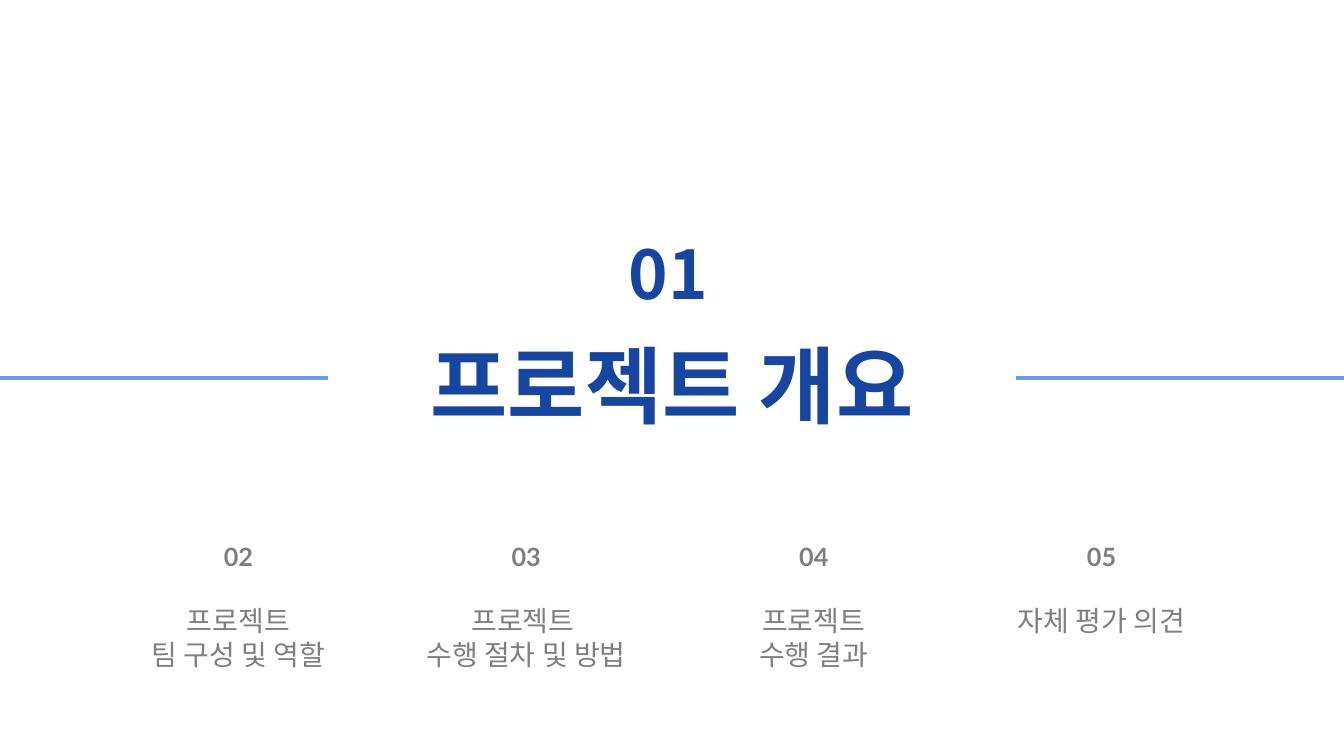
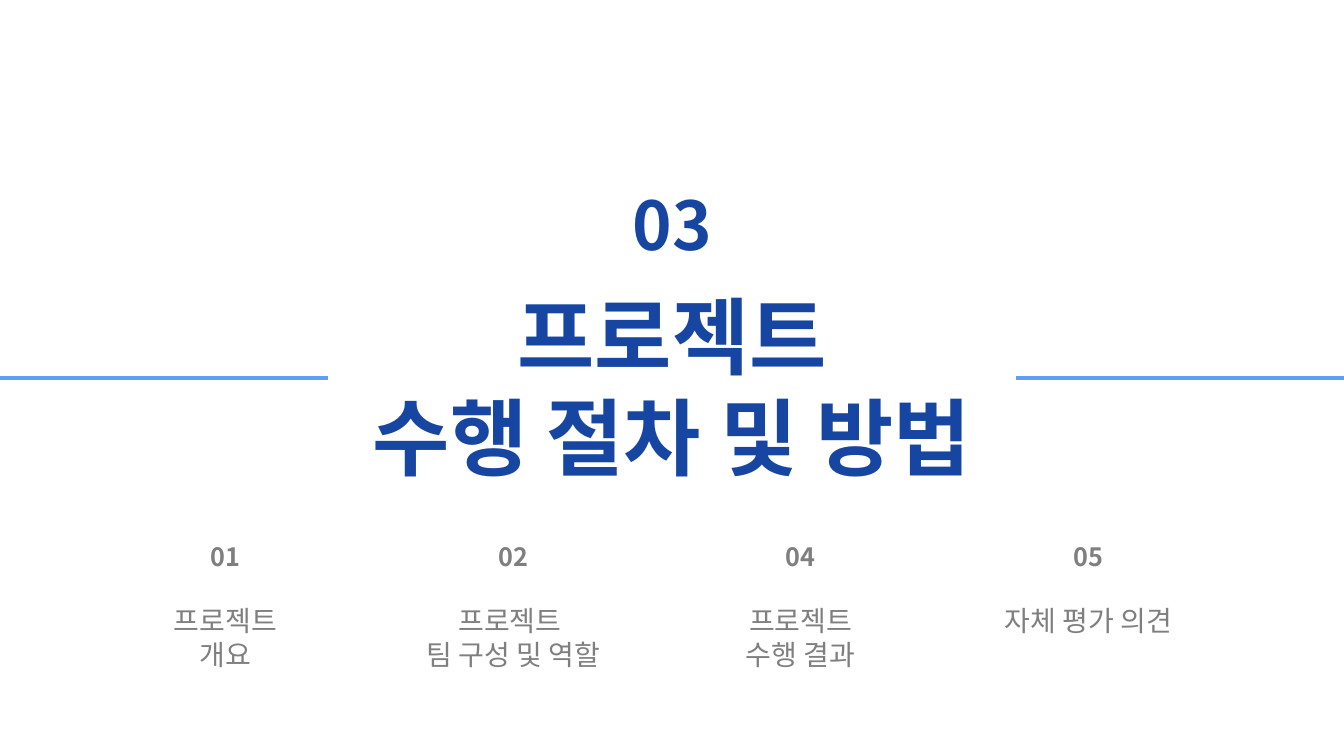
from lxml import etree
from pptx import Presentation
from pptx.dml.color import RGBColor
from pptx.enum.shapes import MSO_CONNECTOR
from pptx.enum.text import MSO_ANCHOR, MSO_AUTO_SIZE, PP_ALIGN
from pptx.oxml.ns import qn
from pptx.util import Cm, Pt

STRAIGHT = MSO_CONNECTOR.STRAIGHT
TOP = MSO_ANCHOR.TOP
FIXED = MSO_AUTO_SIZE.NONE
CENTER = PP_ALIGN.CENTER

WIDE, HIGH = 33.87, 19.05
MID = WIDE / 2
RULE = 8.26
STEP = 7.25
FONT = "Noto Sans CJK KR"
COLORS = {"title": "1746A2", "rule": "5F9DF7", "muted": "7F7F7F"}

PARTS = [
    {"top": 5.74, "num": "01", "num_mid": 16.84, "title": "프로젝트 개요",
     "first": 6.01, "face": "Lato",
     "items": [("02", "프로젝트\n팀 구성 및 역할"),
               ("03", "프로젝트 \n수행 절차 및 방법"),
               ("04", "프로젝트\n수행 결과"),
               ("05", "자체 평가 의견")]},
    {"top": 4.5, "num": "03", "num_mid": 16.94,
     "title": "프로젝트\n수행 절차 및 방법",
     "first": 5.68, "face": FONT,
     "items": [("01", "프로젝트\n개요"),
               ("02", "프로젝트 \n팀 구성 및 역할"),
               ("04", "프로젝트\n수행 결과"),
               ("05", "자체 평가 의견")]},
]


def color(name):
    return RGBColor.from_string(COLORS[name])


def style(frame, text, size, tint, bold, face):
    frame.text = text
    frame.word_wrap = True
    frame.auto_size = FIXED
    frame.vertical_anchor = TOP
    for para in frame.paragraphs:
        para.alignment = CENTER
        for run in para.runs:
            font = run.font
            font.size = Pt(size)
            font.bold = bold
            font.color.rgb = color(tint)
            font.name = face
            east = etree.SubElement(run._r.get_or_add_rPr(), qn("a:ea"))
            east.set("typeface", face)


def place(mid, top, width, height):
    return Cm(mid - width / 2), Cm(top), Cm(width), Cm(height)


def add_text(slide, box, text, size, tint, bold=False, face=FONT):
    shape = slide.shapes.add_textbox(*box)
    style(shape.text_frame, text, size, tint, bold, face)


def add_title(slide, top, text):
    title = slide.shapes.title
    height = 0.25 + 2.57 * len(text.split("\n"))
    title.left, title.top, title.width, title.height = place(
        MID, top, 16.3, height)
    style(title.text_frame, text, 60, "title", True, FONT)


def add_rule(slide, start, end):
    line = slide.shapes.add_connector(
        STRAIGHT, Cm(start), Cm(HIGH / 2), Cm(end), Cm(HIGH / 2))
    line.line.color.rgb = color("rule")
    line.line.width = Pt(3)
    etree.SubElement(line._element.spPr, qn("a:effectLst"))


def add_item(slide, mid, num, label, face):
    add_text(slide, place(mid, 13.51, 1.5, 1.02), num, 18, "muted", True, face)
    add_text(slide, place(mid, 15.09, 5.6, 1.96), label, 20, "muted")


def add_part(deck, part):
    slide = deck.slides.add_slide(deck.slide_layouts[5])
    add_text(slide, place(part["num_mid"], part["top"], 2.64, 2.31),
             part["num"], 48, "title", True)
    add_title(slide, part["top"] + 2.54, part["title"])
    for i, (num, label) in enumerate(part["items"]):
        add_item(slide, part["first"] + i * STEP, num, label, part["face"])
    add_rule(slide, 0, RULE)
    add_rule(slide, WIDE - RULE, WIDE)


def main():
    deck = Presentation()
    deck.slide_width, deck.slide_height = Cm(WIDE), Cm(HIGH)
    for part in PARTS:
        add_part(deck, part)
    deck.save("out.pptx")


if __name__ == "__main__":
    main()
